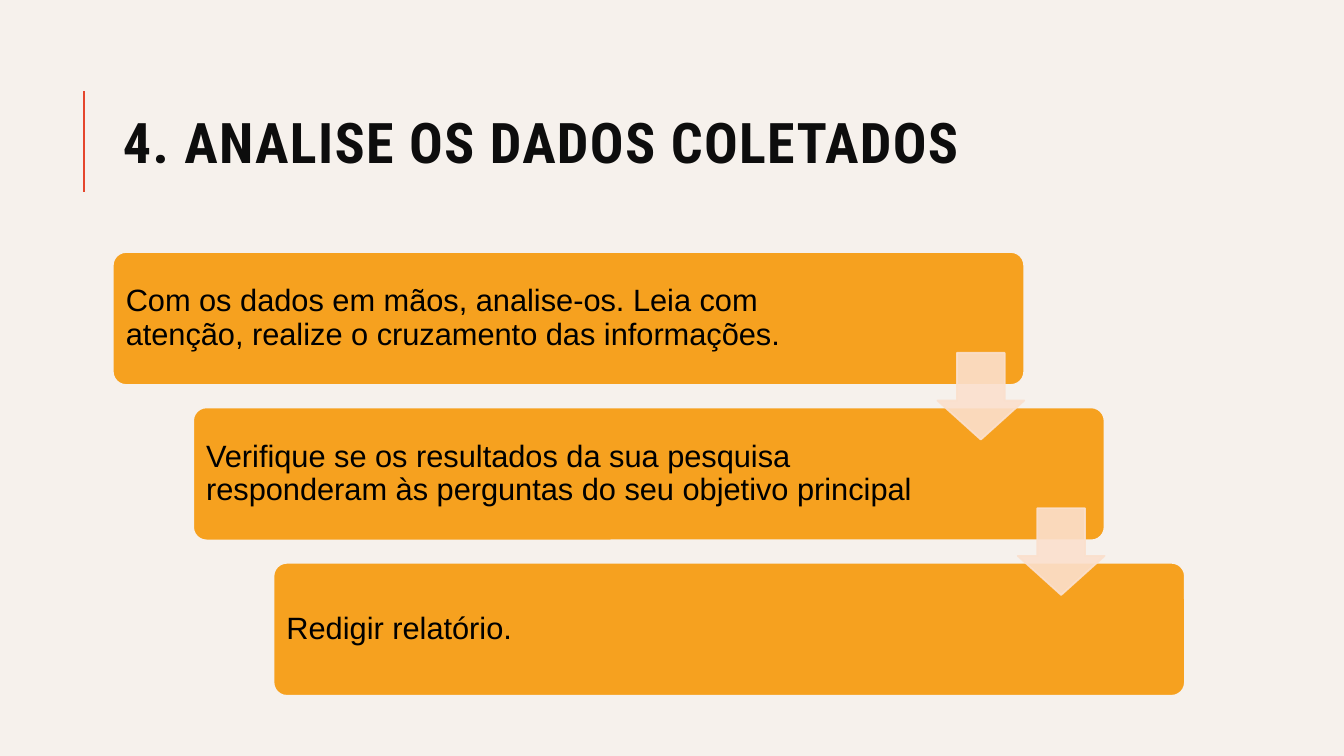
from dataclasses import dataclass

from pptx import Presentation
from pptx.dml.color import RGBColor
from pptx.enum.shapes import MSO_CONNECTOR, MSO_SHAPE
from pptx.enum.text import MSO_ANCHOR, MSO_AUTO_SIZE, PP_ALIGN
from pptx.oxml.ns import qn
from pptx.util import Pt
from lxml.etree import SubElement


@dataclass(frozen=True)
class Theme:
    back: RGBColor = RGBColor.from_string("F6F1EC")
    rule: RGBColor = RGBColor.from_string("E5462D")
    title: RGBColor = RGBColor.from_string("0D0D0D")
    text: RGBColor = RGBColor.from_string("000000")
    step: RGBColor = RGBColor.from_string("F6A11F")
    arrow: RGBColor = RGBColor.from_string("FBE0CD")
    head: str = "Roboto Condensed"
    body: str = "Arial"
    large: int = 40
    small: int = 22


THEME = Theme()
STEPS = [
    "Com os dados em mãos, analise-os. Leia com atenção, "
    "realize o cruzamento das informações.",
    "Verifique se os resultados da sua pesquisa responderam "
    "às perguntas do seu objetivo principal",
    "Redigir relatório.",
]
LEFT, TOP = 80.6, 180
SHIFT, DROP = 57.4, 111
WIDTH, HEIGHT = 651, 95
ARROW = 62


def set_font(font, name, size, color, bold=False):
    font.name, font.size, font.bold = name, Pt(size), bold
    font.color.rgb = color


def add_title(slide, text):
    title = slide.shapes.title
    title.left, title.top = Pt(80.6), Pt(46)
    title.width, title.height = Pt(765.4), Pt(118)
    frame = title.text_frame
    frame.text = text
    frame.word_wrap = True
    frame.auto_size = MSO_AUTO_SIZE.NONE
    frame.vertical_anchor = MSO_ANCHOR.MIDDLE
    para = frame.paragraphs[0]
    para.alignment = PP_ALIGN.LEFT
    para.line_spacing = 0.8
    set_font(para.font, THEME.head, THEME.large, THEME.title, True)
    # Letter spacing, in hundredths of a point
    para.runs[0].font._element.set("spc", "100")


def add_rule(slide):
    rule = slide.shapes.add_connector(
        MSO_CONNECTOR.STRAIGHT, Pt(60), Pt(136.8), Pt(60), Pt(65))
    rule.line.color.rgb = THEME.rule
    rule.line.width = Pt(1.5)
    SubElement(rule._element.spPr, qn("a:effectLst"))


def add_block(slide, kind, box, fill, line):
    block = slide.shapes.add_shape(kind, *map(Pt, box))
    block.shadow.inherit = False
    block.fill.solid()
    block.fill.fore_color.rgb = fill
    block.line.color.rgb = line
    block.line.width = Pt(1.25)
    return block


def add_step(slide, index, text):
    box = (LEFT + index * SHIFT, TOP + index * DROP, WIDTH, HEIGHT)
    step = add_block(slide, MSO_SHAPE.ROUNDED_RECTANGLE, box,
                     THEME.step, THEME.back)
    step.adjustments[0] = 0.1
    frame = step.text_frame
    frame.text = text
    frame.word_wrap = True
    frame.vertical_anchor = MSO_ANCHOR.MIDDLE
    frame.margin_left = frame.margin_top = frame.margin_bottom = Pt(6.5)
    frame.margin_right = Pt(126)
    para = frame.paragraphs[0]
    para.alignment = PP_ALIGN.LEFT
    para.line_spacing = 0.9
    set_font(para.font, THEME.body, THEME.small, THEME.text)


def add_arrow(slide, index):
    """Link a step to the next one, flush with its right edge."""
    box = (LEFT + WIDTH - ARROW + index * SHIFT, 252 + index * DROP,
           ARROW, ARROW)
    arrow = add_block(slide, MSO_SHAPE.DOWN_ARROW, box,
                      THEME.arrow, THEME.arrow)
    arrow.adjustments[0] = 0.55
    arrow.adjustments[1] = 0.45
    for color in arrow._element.spPr.iter(qn("a:srgbClr")):
        SubElement(color, qn("a:alpha")).set("val", "90000")


def main():
    deck = Presentation()
    deck.slide_width, deck.slide_height = Pt(960), Pt(540)
    slide = deck.slides.add_slide(deck.slide_layouts[5])
    slide.background.fill.solid()
    slide.background.fill.fore_color.rgb = THEME.back
    add_rule(slide)
    add_title(slide, "4. ANALISE OS DADOS COLETADOS")
    for index, text in enumerate(STEPS):
        add_step(slide, index, text)
    for index in range(len(STEPS) - 1):
        add_arrow(slide, index)
    deck.save("out.pptx")


if __name__ == "__main__":
    main()
